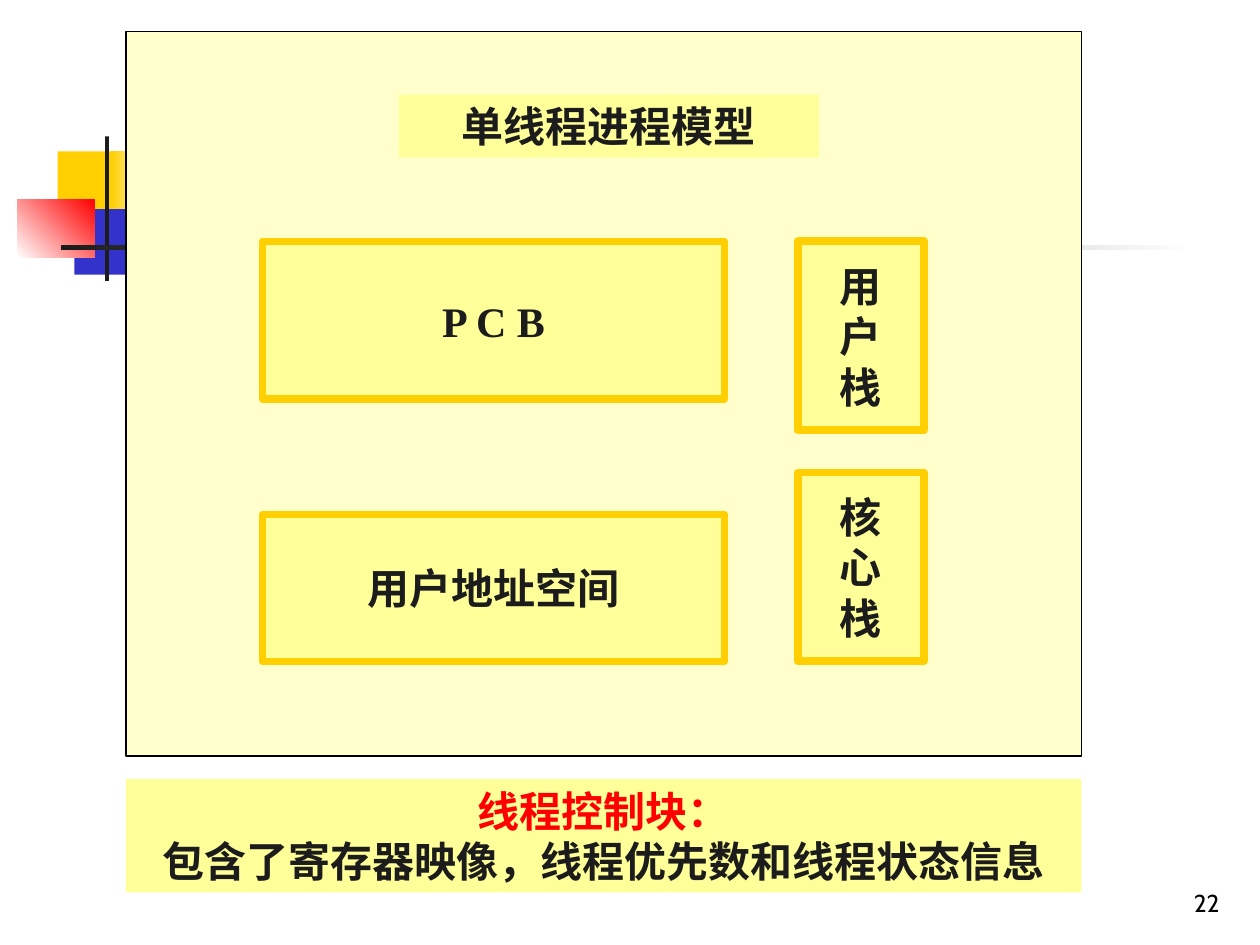
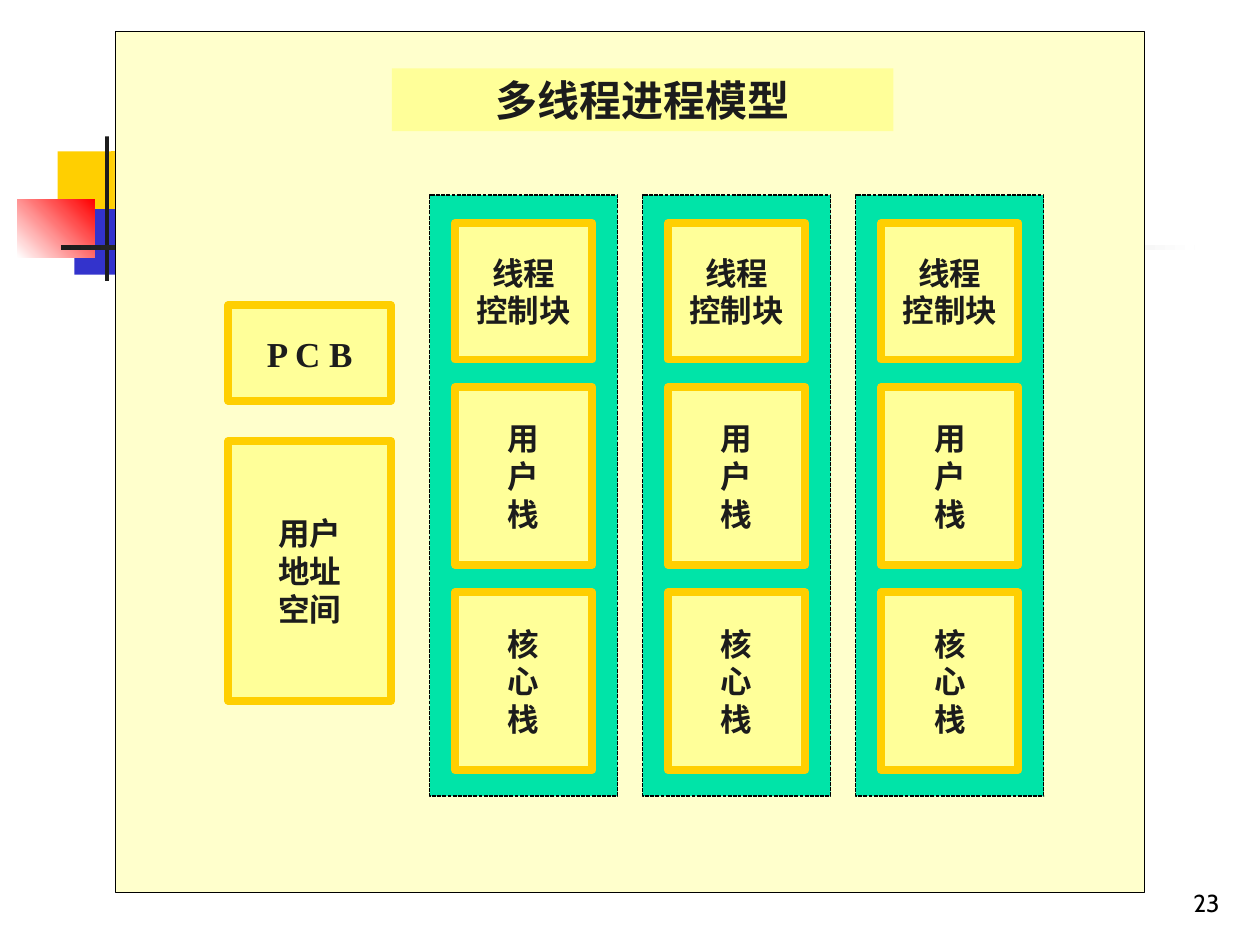
from dataclasses import dataclass
from pptx import Presentation
from pptx.dml.color import RGBColor
from pptx.enum.dml import MSO_LINE
from pptx.enum.shapes import MSO_SHAPE as SHAPE
from pptx.enum.text import MSO_ANCHOR as ANCHOR, MSO_AUTO_SIZE as AUTO, PP_ALIGN as ALIGN
from pptx.util import Pt


@dataclass(frozen=True)
class Theme:
    white: str = "FFFFFF"
    black: str = "000000"
    ink: str = "1C1C1C"
    red: str = "FF0000"
    blue: str = "3333CC"
    gold: str = "FFCF01"
    panel: str = "FFFFCC"
    box: str = "FFFF99"
    thread: str = "00E4A8"
    font: str = "Times New Roman"
    number_font: str = "Cabin"
    large: int = 24
    medium: int = 20
    small: int = 18
    number: int = 14


T = Theme()

# Content: boxes are (text, (left, top, width, height), size), all in points
USER_STACK, KERNEL_STACK = "用\n户\n栈", "核\n心\n栈"

SINGLE = {
    "number": "22",
    "title": ("单线程进程模型", (228, 54, 240, 36)),
    "panel": (72, 18, 546, 414),
    "boxes": [
        ("P C B", (150, 138, 264, 90), T.large),
        ("用户地址空间", (150, 294, 264, 84), T.large),
        (USER_STACK, (456, 138, 72, 108), T.large),
        (KERNEL_STACK, (456, 270, 72, 108), T.large),
    ],
}
NOTE = "线程控制块：\n包含了寄存器映像，线程优先数和线程状态信息"
NOTE_AT = (72, 445, 546, 65)

MULTI = {
    "number": "23",
    "title": ("多线程进程模型", (224, 39, 286.5, 36)),
    "panel": (66, 18, 588, 492),
    "boxes": [
        ("P C B", (130.5, 174.5, 93, 54.5), T.medium),
        ("用户\n地址\n空间", (130.5, 252, 93, 148.5), T.small),
    ],
}
THREADS = 3
THREAD_AT, THREAD_PITCH = (245.5, 111.5, 107.5, 343.5), 121.75
THREAD_PARTS = [("线程\n控制块", 78), (USER_STACK, 101.5), (KERNEL_STACK, 101.5)]
PART_GAP, PART_INSET = 15.75, (14.5, 16)

# Shared corner ornament: (box, colours, clockwise gradient angle)
ORNAMENT = [
    ((33, 86.5, 34.5, 37.5), (T.gold,), 0),
    ((63.5, 86.5, 26, 37.5), (T.gold, T.white), 0),
    ((42.5, 119.5, 33, 37.5), (T.blue,), 0),
    ((72, 119.5, 29, 37.5), (T.blue, T.white), 0),
    ((10, 113.75, 44, 33.5), (T.white, T.red), 315),
    ((60, 78, 2.25, 82.5), (T.ink,), 0),
    ((34.75, 140.25, 648, 2.5), (T.ink, T.white), 0),
]
NUMBER_AT = (554.5, 492, 149.5, 36)


def rgb(colour):
    return RGBColor.from_string(colour)


def points(box):
    return [Pt(v) for v in box]


def add_rect(s, box, colours, line=None, width=0.75, angle=0):
    sp = s.shapes.add_shape(SHAPE.RECTANGLE, *points(box))
    sp.shadow.inherit = False
    if len(colours) == 1:
        sp.fill.solid()
        sp.fill.fore_color.rgb = rgb(colours[0])
    else:
        sp.fill.gradient()
        sp.fill.gradient_angle = (360 - angle) % 360
        for stop, colour in zip(sp.fill.gradient_stops, colours):
            stop.color.rgb = rgb(colour)
    if line:
        sp.line.color.rgb = rgb(line)
        sp.line.width = Pt(width)
    else:
        sp.line.fill.background()
    return sp


def write(sp, text, size, colour=T.ink, font=T.font, bold=True,
          align=ALIGN.CENTER, anchor=ANCHOR.MIDDLE, wrap=True):
    tf = sp.text_frame
    tf.text = text
    tf.word_wrap = wrap
    tf.auto_size = AUTO.NONE
    tf.vertical_anchor = anchor
    for p in tf.paragraphs:
        p.alignment = align
        p.space_before = Pt(0)
        p.font.name, p.font.size, p.font.bold = font, Pt(size), bold
        p.font.color.rgb = rgb(colour)
    return tf


def add_box(s, text, box, size):
    write(add_rect(s, box, (T.box,), T.gold, 4.5), text, size, wrap=False)


def add_model(prs, model):
    s = prs.slides.add_slide(prs.slide_layouts[5])
    for box, colours, angle in ORNAMENT:
        add_rect(s, box, colours, angle=angle)
    number = s.shapes.add_textbox(*points(NUMBER_AT))
    write(number, model["number"], T.number, T.black, T.number_font, False,
          ALIGN.RIGHT, ANCHOR.BOTTOM)
    add_rect(s, model["panel"], (T.panel,), T.black)

    # Title placeholder, brought in front of the panel
    title = s.shapes.title
    text, box = model["title"]
    title.left, title.top, title.width, title.height = points(box)
    title.fill.solid()
    title.fill.fore_color.rgb = rgb(T.box)
    write(title, text, T.large)
    title.element.getparent().append(title.element)

    for text, box, size in model["boxes"]:
        add_box(s, text, box, size)
    return s


def add_thread(s, index):
    left, top, width, height = THREAD_AT
    left += index * THREAD_PITCH
    column = add_rect(s, (left, top, width, height), (T.thread,), T.black)
    column.line.dash_style = MSO_LINE.SQUARE_DOT
    inset_x, inset_y = PART_INSET
    y = top + inset_y
    for text, part_height in THREAD_PARTS:
        add_box(s, text, (left + inset_x, y, width - 2 * inset_x, part_height), T.small)
        y += part_height + PART_GAP


def main():
    prs = Presentation()
    prs.slide_width, prs.slide_height = Pt(720), Pt(540)

    # Single-threaded process, with the note below
    s = add_model(prs, SINGLE)
    tf = write(add_rect(s, NOTE_AT, (T.box,)), NOTE, T.large)
    tf.paragraphs[0].font.color.rgb = rgb(T.red)

    # Multi-threaded process, one column per thread
    s = add_model(prs, MULTI)
    for index in range(THREADS):
        add_thread(s, index)

    prs.save("out.pptx")


if __name__ == "__main__":
    main()
